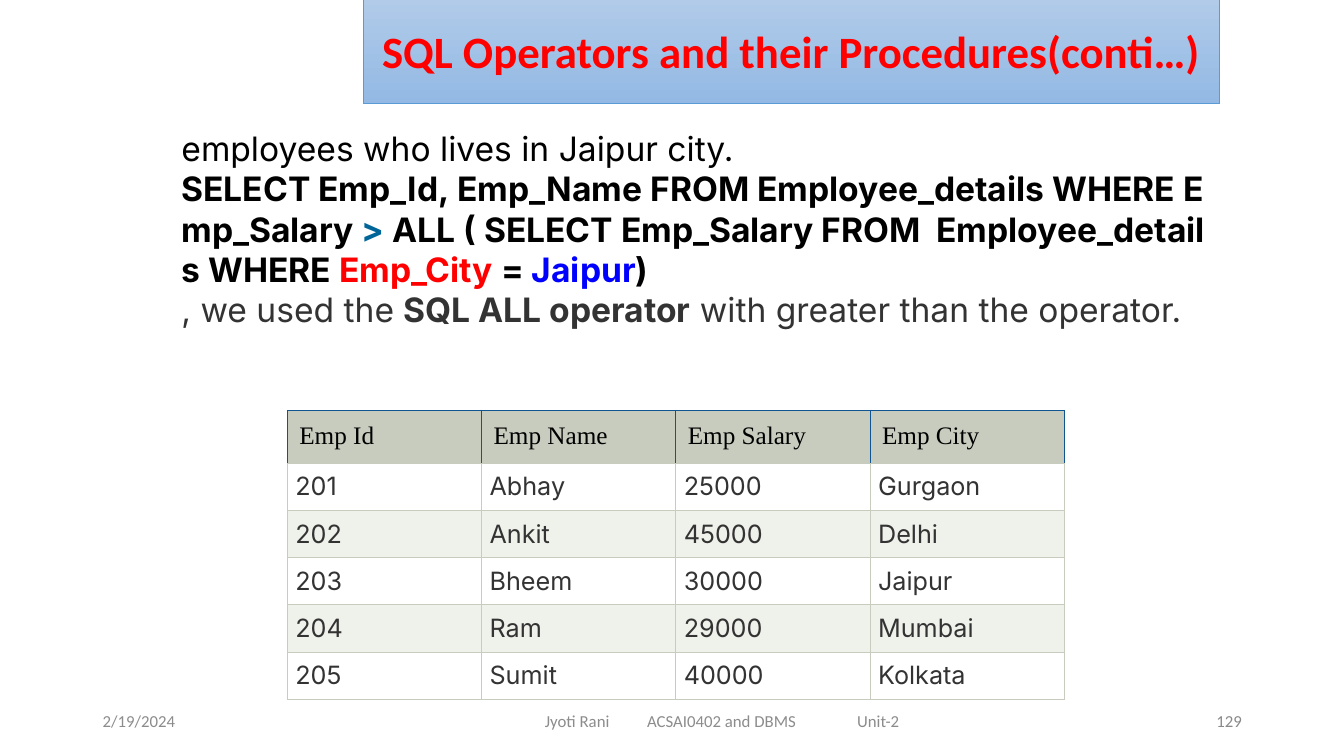
from lxml.etree import SubElement
from pptx import Presentation
from pptx.dml.color import RGBColor
from pptx.enum.text import MSO_ANCHOR, MSO_AUTO_SIZE, PP_ALIGN
from pptx.oxml.ns import qn
from pptx.util import Pt

HEADING = "SQL Operators and their Procedures(conti…)"

QUERY = [
    ("SELECT Emp_Id, Emp_Name FROM Employee_details WHERE Emp_Salary ", "text", True),
    (">", "operator", True),
    (" ALL ( SELECT Emp_Salary FROM  Employee_details WHERE ", "text", True),
    ("Emp_City", "accent", True),
    (" = ", "text", True),
    ("Jaipur", "value", True),
    (")", "text", True),
]
EXPLANATION = [
    [("employees who lives in Jaipur city.", "text", False)],
    [(part.replace(" ", chr(160)), color, bold) for part, color, bold in QUERY],
    [
        (", we used the ", "muted", False),
        ("SQL ALL operator", "muted", True),
        (" with greater than the operator.", "muted", False),
    ],
]
EMPLOYEES = [
    ("Emp Id", "Emp Name", "Emp Salary", "Emp City"),
    ("201", "Abhay", "25000", "Gurgaon"),
    ("202", "Ankit", "45000", "Delhi"),
    ("203", "Bheem", "30000", "Jaipur"),
    ("204", "Ram", "29000", "Mumbai"),
    ("205", "Sumit", "40000", "Kolkata"),
]
COURSE_INSET = 71
COURSE_TABS = (73, 223)
FOOTERS = [
    ("2/19/2024", 66.24, 216, PP_ALIGN.LEFT, "footer"),
    ("Jyoti Rani\tACSAI0402 and DBMS\tUnit-2", 318.24, 396, PP_ALIGN.LEFT, "footer"),
    ("129", 678.24, 216, PP_ALIGN.RIGHT, "page"),
]

THEME = {
    "colors": {
        "text": "000000", "muted": "333333", "accent": "FF0000",
        "operator": "006699", "value": "0000FF", "footer": "8C8C8C",
        "page": "898989", "white": "FFFFFF", "band": "EFF1EB",
        "header": "C7CCBE", "header_edge": "105492", "title_edge": "5B9BD5",
        "title_top": "B1CBE9", "title_bottom": "93B9E4",
    },
    "sizes": {"title": 32, "body": 24, "table": 18, "footer": 12},
    "fonts": {"title": "Calibri", "body": "Inter", "header": "Times New Roman"},
}

TITLE_BOX = (259.2, -1.5, 612, 75.6)
BODY_BOX = (129.6, 90.72, 731.52, 145.44)
TABLE_LEFT, TABLE_TOP, COLUMN_WIDTH = 205.2, 293.04, 138.78
HEADER_HEIGHT, ROW_HEIGHT = 38, 33.7
FOOTER_TOP, FOOTER_HEIGHT = 500.4, 28.8


def rgb(color):
    return RGBColor.from_string(THEME["colors"][color])


def apply(target, values):
    for attribute, value in values.items():
        setattr(target, attribute, value)


def place(part, box):
    apply(part, dict(zip(("left", "top", "width", "height"), map(Pt, box))))


def margins(*sides):
    names = ("margin_left", "margin_top", "margin_right", "margin_bottom")
    return dict(zip(names, map(Pt, sides)))


def write(paragraph, wording, size, font, color, bold=False):
    run = paragraph.add_run()
    run.text = wording
    apply(run.font, {
        "name": THEME["fonts"][font],
        "size": Pt(THEME["sizes"][size]),
        "bold": bold,
    })
    run.font.color.rgb = rgb(color)


def add_borders(cell, edges):
    properties = cell._tc.get_or_add_tcPr()
    for side, color in edges.items():
        line = SubElement(properties, qn(f"a:ln{side}"), w=str(Pt(0.75)))
        fill = SubElement(line, qn("a:solidFill"))
        SubElement(fill, qn("a:srgbClr"), val=THEME["colors"][color])


def build_heading(heading):
    place(heading, TITLE_BOX)
    heading.fill.gradient()
    heading.fill.gradient_angle = 270
    for stop, color in zip(heading.fill.gradient_stops, ("title_top", "title_bottom")):
        stop.color.rgb = rgb(color)
    heading.line.color.rgb = rgb("title_edge")
    heading.line.width = Pt(0.5)
    apply(heading.text_frame, {
        "vertical_anchor": MSO_ANCHOR.MIDDLE, "auto_size": MSO_AUTO_SIZE.NONE,
    })
    paragraph = heading.text_frame.paragraphs[0]
    paragraph.alignment = PP_ALIGN.CENTER
    write(paragraph, HEADING, "title", "title", "accent", True)


def build_explanation(explanation):
    place(explanation, BODY_BOX)
    explanation.fill.solid()
    explanation.fill.fore_color.rgb = rgb("white")
    frame = explanation.text_frame
    apply(frame, {
        "vertical_anchor": MSO_ANCHOR.MIDDLE, "auto_size": MSO_AUTO_SIZE.NONE,
        "word_wrap": True, **margins(0, 0, 0, 0),
    })
    for index, parts in enumerate(EXPLANATION):
        paragraph = frame.add_paragraph() if index else frame.paragraphs[0]
        apply(paragraph, {"alignment": PP_ALIGN.JUSTIFY, "space_before": Pt(0)})
        properties = paragraph._p.get_or_add_pPr()
        properties.set("marL", "0")
        properties.set("indent", "0")
        SubElement(properties, qn("a:buNone"))
        for wording, color, bold in parts:
            write(paragraph, wording, "body", "body", color, bold)


def build_employees(slide):
    columns, rows = len(EMPLOYEES[0]), len(EMPLOYEES)
    box = (TABLE_LEFT, TABLE_TOP, COLUMN_WIDTH * columns,
           HEADER_HEIGHT + ROW_HEIGHT * (rows - 1))
    employees = slide.shapes.add_table(rows, columns, *map(Pt, box)).table
    apply(employees, {"first_row": False, "horz_banding": False})
    for column in employees.columns:
        column.width = Pt(COLUMN_WIDTH)
    for index, record in enumerate(EMPLOYEES):
        is_header = index == 0
        employees.rows[index].height = Pt(HEADER_HEIGHT if is_header else ROW_HEIGHT)
        edge = "header_edge" if is_header else "header"
        fill = "header" if is_header else "white" if index % 2 else "band"
        inset = 8.64 if is_header else 5.76
        for position, wording in enumerate(record):
            cell = employees.cell(index, position)
            add_borders(cell, {"L": edge, "R": edge, "T": edge, "B": "header"})
            cell.fill.solid()
            cell.fill.fore_color.rgb = rgb(fill)
            apply(cell, margins(inset, inset, inset, inset))
            paragraph = cell.text_frame.paragraphs[0]
            paragraph.alignment = PP_ALIGN.LEFT if is_header else PP_ALIGN.JUSTIFY
            write(paragraph, wording, "table", "header" if is_header else "body",
                  "text" if is_header else "muted")


def build_footers(slide):
    for wording, left, width, alignment, color in FOOTERS:
        box = (left, FOOTER_TOP, width, FOOTER_HEIGHT)
        frame = slide.shapes.add_textbox(*map(Pt, box)).text_frame
        apply(frame, {"word_wrap": True, "vertical_anchor": MSO_ANCHOR.MIDDLE})
        paragraph = frame.paragraphs[0]
        paragraph.alignment = alignment
        if "\t" in wording:
            frame.margin_left = Pt(COURSE_INSET)
            stops = SubElement(paragraph._p.get_or_add_pPr(), qn("a:tabLst"))
            for stop in COURSE_TABS:
                SubElement(stops, qn("a:tab"), pos=str(Pt(stop)), algn="l")
        write(paragraph, wording, "footer", "title", color)


def main():
    deck = Presentation()
    apply(deck, {"slide_width": Pt(960), "slide_height": Pt(540)})
    slide = deck.slides.add_slide(deck.slide_layouts[1])
    build_heading(slide.shapes.title)
    build_explanation(slide.placeholders[1])
    build_employees(slide)
    build_footers(slide)
    deck.save("out.pptx")


if __name__ == "__main__":
    main()
